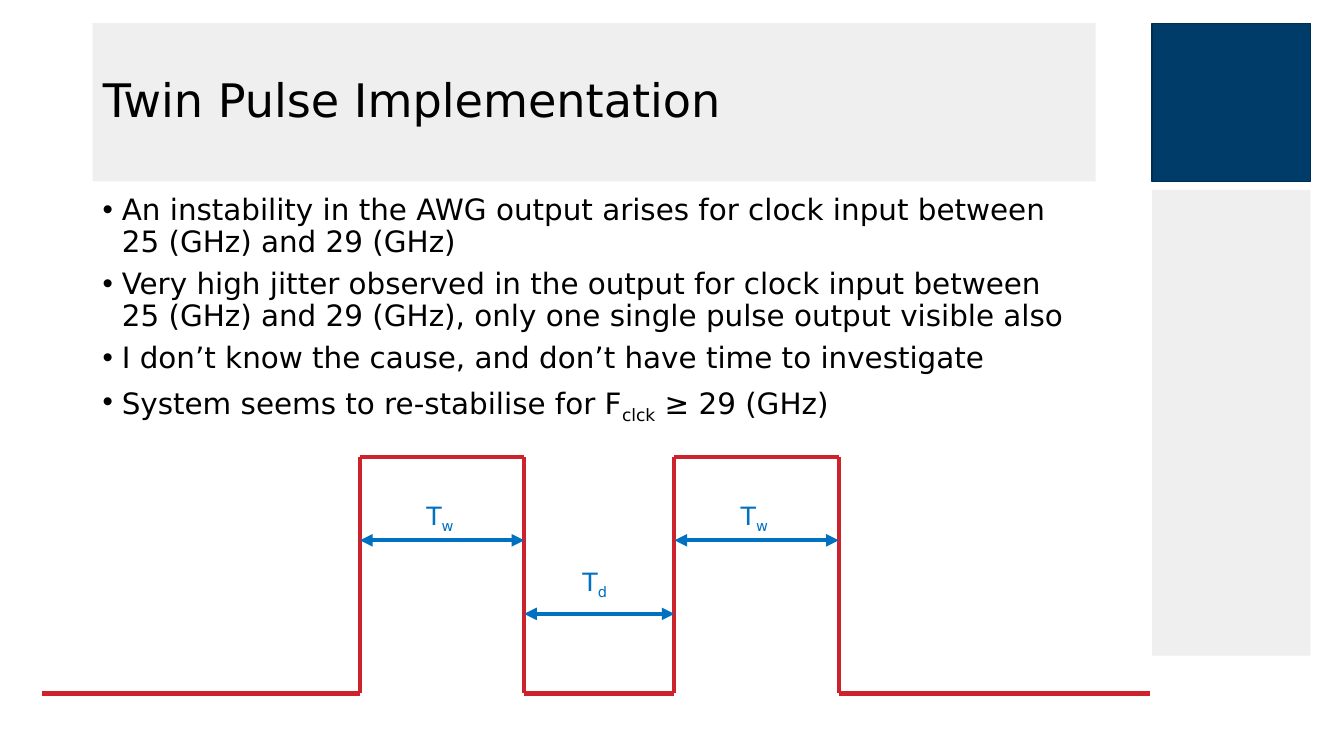
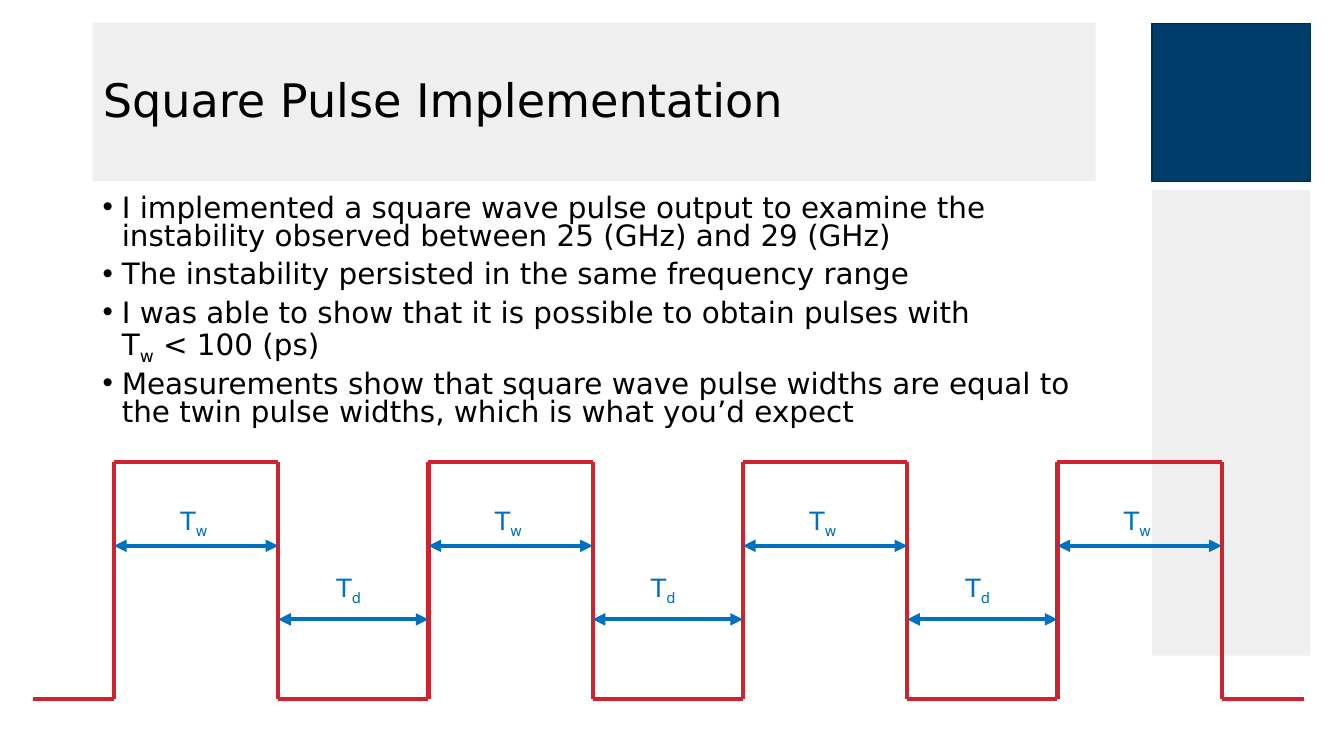
"""Build two slides on pulse implementation; lengths are percentages of the slide's size."""
from itertools import pairwise

from lxml import etree
from pptx import Presentation
from pptx import util as u
from pptx.dml import color
from pptx.enum import shapes, text
from pptx.oxml import ns

WIDTH, HEIGHT = u.Inches(13.333), u.Inches(7.5)
FONT = "DejaVu Sans"
COLORS = {
    "band": "EFEFF0",
    "block": "003C69",
    "block_edge": "002C4E",
    "text": "000000",
    "pulse": "CE222C",
    "arrow": "0070C0",
}

MARGIN, HEADER_TOP, HEADER_HEIGHT = 6.9, 3.07, 20.93
CONTENT_WIDTH = 74.62
SIDE_LEFT, SIDE_WIDTH = 85.72, 11.78

PULSE_WIDTH, PULSE_PERIOD, PULSE_HEIGHT = 12.22, 23.4, 31.33
LABEL_WIDTH, LABEL_HEIGHT = 3.52, 5.33

SLIDES = [
    {
        "title": "Twin Pulse Implementation",
        "line_spacing": 0.9,
        "bullets": [
            ["An instability in the AWG output arises for clock input between "
             "25 (GHz) and 29 (GHz)"],
            ["Very high jitter observed in the output for clock input between "
             "25 (GHz) and 29 (GHz), only one single pulse output visible also"],
            ["I don’t know the cause, and don’t have time to investigate"],
            ["System seems to re-stabilise for F", "clck", " ≥ 29 (GHz)"],
        ],
        "train": {"count": 2, "left": 3.15, "start": 26.78, "right": 85.58, "top": 60.4},
    },
    {
        "title": "Square Pulse Implementation",
        "line_spacing": 0.8,
        "bullets": [
            ["I implemented a square wave pulse output to examine the instability "
             "observed between 25 (GHz) and 29 (GHz)"],
            ["The instability persisted in the same frequency range"],
            ["I was able to show that it is possible to obtain pulses with \nT",
             "w", " < 100 (ps)"],
            ["Measurements show that square wave pulse widths are equal to the twin "
             "pulse widths, which is what you’d expect"],
        ],
        "train": {"count": 4, "left": 2.48, "start": 8.48, "right": 97.05, "top": 61.13},
    },
]


def across(percent):
    """Return a share of the slide's width."""
    return round(WIDTH * percent / 100)


def down(percent):
    """Return a share of the slide's height."""
    return round(HEIGHT * percent / 100)


def box(left, top, width, height):
    """Return a frame in slide units."""
    return across(left), down(top), across(width), down(height)


def rgb(name):
    """Look up a palette colour."""
    return color.RGBColor.from_string(COLORS[name])


def add_runs(paragraph, pieces, size, color_name):
    """Add text pieces, where every second piece is a subscript."""
    for index, piece in enumerate(pieces):
        for line_index, line in enumerate(piece.split("\n")):
            if line_index:
                paragraph.add_line_break()
            run = paragraph.add_run()
            run.text = line
            run.font.name = FONT
            run.font.size = u.Pt(size)
            run.font.color.rgb = rgb(color_name)
            if index % 2:
                run._r.get_or_add_rPr().set("baseline", "-25000")


def add_band(slide, frame, fill, edge=None):
    """Add a plain rectangle to a slide and return it."""
    shape = slide.shapes.add_shape(shapes.MSO_SHAPE.RECTANGLE, *frame)
    shape.shadow.inherit = False
    shape.fill.solid()
    shape.fill.fore_color.rgb = rgb(fill)
    if edge:
        shape.line.color.rgb = rgb(edge)
        shape.line.width = u.Pt(1)
    else:
        shape.line.fill.background()
    return shape


def move_bands_to_layout(slide, layout):
    """Put the shared side column on the layout, behind all slides."""
    for placeholder in list(layout.placeholders):
        if placeholder.placeholder_format.type != shapes.PP_PLACEHOLDER.TITLE:
            placeholder.element.getparent().remove(placeholder.element)
    bands = [
        add_band(slide, box(SIDE_LEFT, 25.13, SIDE_WIDTH, 61.6), "band"),
        add_band(slide, box(SIDE_LEFT, HEADER_TOP, SIDE_WIDTH, HEADER_HEIGHT),
                 "block", "block_edge"),
    ]
    for band in bands:
        layout.element.cSld.spTree.append(band.element)


def set_title(slide, words):
    """Place and format the title placeholder."""
    title = slide.shapes.title
    title.left, title.top, title.width, title.height = box(
        MARGIN, HEADER_TOP, CONTENT_WIDTH, HEADER_HEIGHT)
    title.fill.solid()
    title.fill.fore_color.rgb = rgb("band")
    frame = title.text_frame
    frame.word_wrap = True
    frame.auto_size = text.MSO_AUTO_SIZE.NONE
    frame.vertical_anchor = text.MSO_ANCHOR.MIDDLE
    paragraph = frame.paragraphs[0]
    paragraph.alignment = text.PP_ALIGN.LEFT
    paragraph.line_spacing = 0.9
    add_runs(paragraph, [words], 33, "text")


def add_bullets(slide, bullets, line_spacing):
    """Add the bulleted text below the title."""
    frame = slide.shapes.add_textbox(*box(MARGIN, 25.2, CONTENT_WIDTH, 32.4)).text_frame
    frame.word_wrap = True
    for index, pieces in enumerate(bullets):
        paragraph = frame.add_paragraph() if index else frame.paragraphs[0]
        properties = paragraph._p.get_or_add_pPr()
        indent = u.Inches(0.19)
        properties.set("marL", str(indent))
        properties.set("indent", str(-indent))
        etree.SubElement(properties, ns.qn("a:buFont"), typeface="Arial")
        etree.SubElement(properties, ns.qn("a:buChar"), char="•")
        paragraph.line_spacing = line_spacing
        paragraph.space_before = u.Pt(7.5 if index else 0)
        add_runs(paragraph, pieces, 21, "text")


def add_line(slide, start, end, color_name, arrows=False):
    """Add a straight line, with arrowheads at both ends on request."""
    connector = slide.shapes.add_connector(
        shapes.MSO_CONNECTOR.STRAIGHT,
        across(start[0]), down(start[1]), across(end[0]), down(end[1]))
    connector.line.color.rgb = rgb(color_name)
    connector.line.width = u.Pt(3)
    properties = connector.element.spPr
    if arrows:
        outline = properties.find(ns.qn("a:ln"))
        for tag in ("a:headEnd", "a:tailEnd"):
            etree.SubElement(outline, ns.qn(tag), type="triangle")
    etree.SubElement(properties, ns.qn("a:effectLst"))


def add_span(slide, left, right, top, subscript, label_left, label_top):
    """Add a two-headed arrow and its time label."""
    add_line(slide, (left, top), (right, top), "arrow", arrows=True)
    label = slide.shapes.add_textbox(*box(label_left, label_top, LABEL_WIDTH, LABEL_HEIGHT))
    label.text_frame.word_wrap = False
    label.text_frame.auto_size = text.MSO_AUTO_SIZE.SHAPE_TO_FIT_TEXT
    add_runs(label.text_frame.paragraphs[0], ["T", subscript], 18, "arrow")


def add_pulse_train(slide, count, left, start, right, top):
    """Draw a pulse train with its widths and delays."""
    base = top + PULSE_HEIGHT
    rises = [start + index * PULSE_PERIOD for index in range(count)]
    corners = [(left, base)]
    for rise in rises:
        fall = rise + PULSE_WIDTH
        corners += [(rise, base), (rise, top), (fall, top), (fall, base)]
    corners.append((right, base))
    for begin, end in pairwise(corners):
        add_line(slide, begin, end, "pulse")
    for rise in rises:
        add_span(slide, rise, rise + PULSE_WIDTH, top + 11.07, "w", rise + 4.2, top + 5.07)
    for rise, next_rise in pairwise(rises):
        fall = rise + PULSE_WIDTH
        add_span(slide, fall, next_rise, top + 20.8, "d", fall + 3.6, top + 13.87)


def main():
    """Build and save the presentation."""
    presentation = Presentation()
    presentation.slide_width, presentation.slide_height = WIDTH, HEIGHT
    layout = presentation.slide_layouts.get_by_name("Title Only")
    for index, content in enumerate(SLIDES):
        slide = presentation.slides.add_slide(layout)
        if index == 0:
            move_bands_to_layout(slide, layout)
        set_title(slide, content["title"])
        add_bullets(slide, content["bullets"], content["line_spacing"])
        add_pulse_train(slide, **content["train"])
    presentation.save("out.pptx")


if __name__ == "__main__":
    main()
